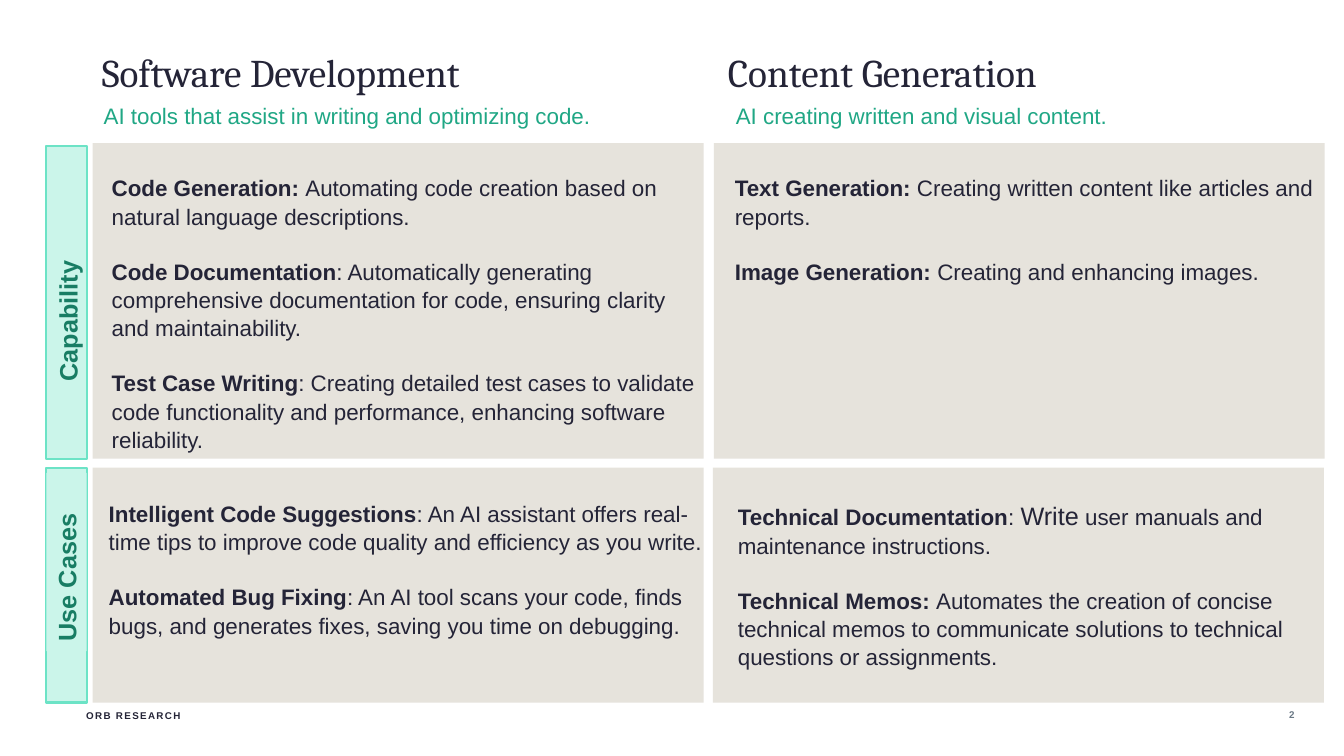
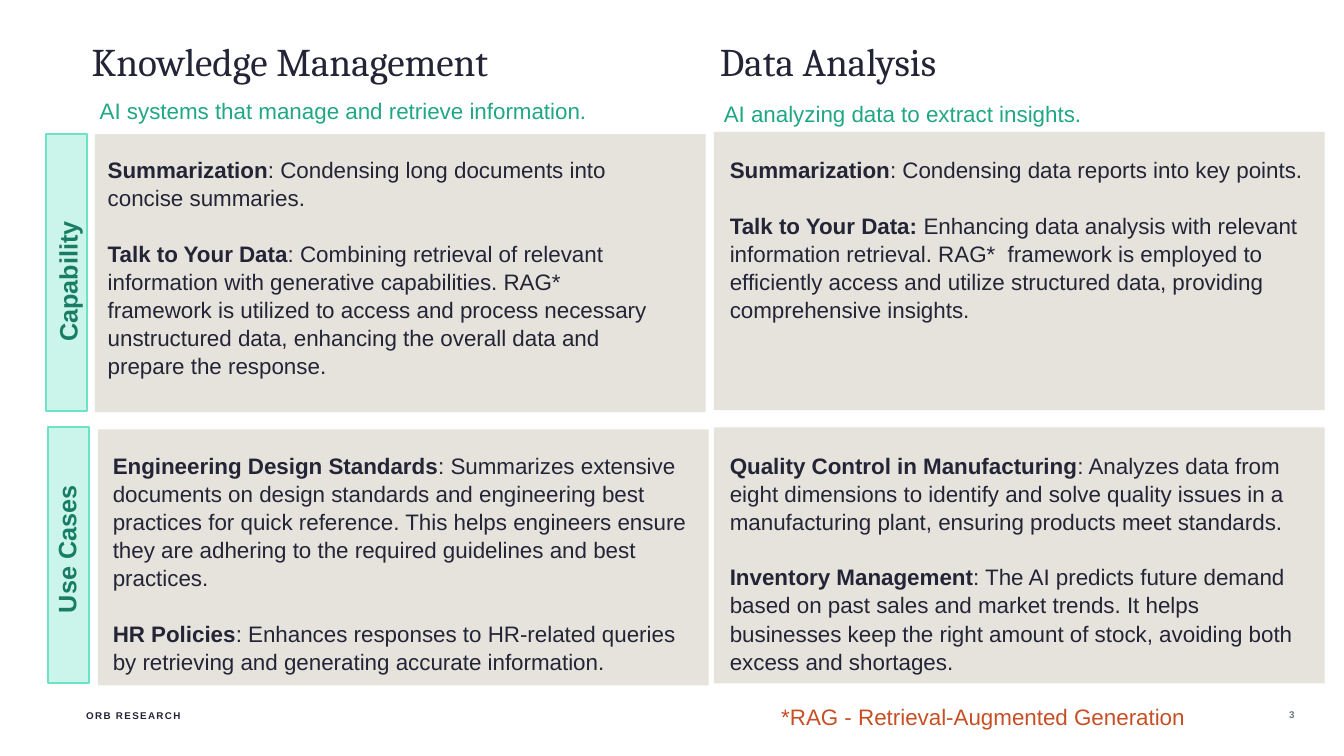
from pptx import Presentation
from pptx.dml.color import RGBColor
from pptx.enum.shapes import MSO_SHAPE
from pptx.enum.text import MSO_ANCHOR, PP_ALIGN
from pptx.oxml.ns import qn
from pptx.util import Inches, Pt

COLORS = {
    "ink": "242437", "panel": "E6E3DC", "mint": "CBF5EA", "mint_line": "6CE3C6",
    "label": "187D64", "subtitle": "20A785", "note": "C74F26", "page": "6A7885",
}
BODY_FONT, TITLE_FONT = "Arial", "Cambria"
PANEL_W, TAB_W = 6.06, 0.4
LINE_SPACING = 1.05
BODY_GAP = 19.3

# Boxes are (left, top, width, height). Each panel's "text" is
# (left offset, top offset, width, height) from the panel corner.
SLIDES = [
    {
        "columns": [
            {"title": "Software Development", "title_box": (1.01, 0.48, 5.36, 0.57),
             "subtitle": "AI tools that assist in writing and optimizing code.",
             "subtitle_box": (0.93, 0.96, 6.15, 0.37)},
            {"title": "Content Generation", "title_box": (7.22, 0.48, 5.28, 0.57),
             "subtitle": "AI creating written and visual content.",
             "subtitle_box": (7.2, 0.96, 5.01, 0.37)},
        ],
        "rows": [
            {"label": "Capability", "tab": (0.46, 1.45, 3.1), "label_at": (0.47, 2.26, 1.62),
             "height": 3.13,
             "panels": [
                 {"at": (0.92, 1.42), "text": (0.09, 0.25, 6, 2.79), "items": [
                     ("Code Generation: ",
                      "Automating code creation based on natural language descriptions."),
                     ("Code Documentation",
                      ": Automatically generating comprehensive documentation for code, "
                      "ensuring clarity and maintainability."),
                     ("Test Case Writing",
                      ": Creating detailed test cases to validate code functionality and "
                      "performance, enhancing software reliability.")]},
                 {"at": (7.08, 1.42), "text": (0.11, 0.25, 6, 1.18), "items": [
                     ("Text Generation: ", "Creating written content like articles and reports."),
                     ("Image Generation: ", "Creating and enhancing images.")]},
             ]},
            {"label": "Use Cases", "tab": (0.46, 4.64, 2.33), "label_at": (0.46, 4.69, 1.77),
             "label_fill": "mint", "height": 2.33,
             "panels": [
                 {"at": (0.92, 4.64), "text": (0.06, 0.26, 6.09, 1.72), "items": [
                     ("Intelligent Code Suggestions",
                      ": An AI assistant offers real-time tips to improve code quality and "
                      "efficiency as you write."),
                     ("Automated Bug Fixing",
                      ": An AI tool scans your code, finds bugs, and generates fixes, saving "
                      "you time on debugging.")]},
                 {"at": (7.07, 4.64), "text": (0.15, 0.26, 6.06, 1.75), "items": [
                     ("Technical Documentation", ": ", ("Write", {"size": 18}),
                      " user manuals and maintenance instructions."),
                     ("Technical Memos: ",
                      "Automates the creation of concise technical memos to communicate "
                      "solutions to technical questions or assignments.")]},
             ]},
        ],
    },
    {
        "columns": [
            {"title": "Knowledge Management", "title_box": (0.91, 0.37, 6.06, 0.57),
             "subtitle": "AI systems that manage and retrieve information.",
             "subtitle_box": (0.89, 0.91, 6.15, 0.37)},
            {"title": "Data Analysis", "title_box": (7.14, 0.37, 5.28, 0.57),
             "subtitle": "AI analyzing data to extract insights.",
             "subtitle_box": (7.08, 0.94, 5.01, 0.37)},
        ],
        "rows": [
            {"label": "Capability", "tab": (0.46, 1.33, 2.75), "label_at": (0.47, 1.87, 1.62),
             "height": 2.76,
             "panels": [
                 {"at": (0.94, 1.33), "text": (0.03, 0.16, 5.73, 2.26), "items": [
                     ("Summarization", ": Condensing long documents into concise summaries."),
                     ("Talk to Your Data",
                      ": Combining retrieval of relevant information with generative "
                      "capabilities. RAG* framework is utilized to access and process "
                      "necessary unstructured data, enhancing the overall data and prepare "
                      "the response.")]},
                 {"at": (7.08, 1.31), "text": (0.06, 0.18, 6, 1.72), "items": [
                     ("Summarization", ": Condensing data reports into key points."),
                     ("Talk to Your Data: ",
                      "Enhancing data analysis with relevant information retrieval. RAG*  "
                      "framework is employed to efficiently access and utilize structured "
                      "data, providing comprehensive insights.")]},
             ]},
            {"label": "Use Cases", "tab": (0.48, 4.24, 2.54), "label_at": (0.46, 4.41, 1.77),
             "height": 2.54,
             "panels": [
                 {"at": (0.97, 4.26), "text": (0.05, 0.16, 5.92, 2.26), "items": [
                     ("Engineering Design Standards",
                      ": Summarizes extensive documents on design standards and engineering "
                      "best practices for quick reference. This helps engineers ensure they "
                      "are adhering to the required guidelines and best practices."),
                     ("HR Policies",
                      ": Enhances responses to HR-related queries by retrieving and "
                      "generating accurate information.")]},
                 {"at": (7.08, 4.24), "text": (0.06, 0.18, 5.86, 2.26), "items": [
                     ("Quality Control in Manufacturing",
                      ": Analyzes data from eight dimensions to identify and solve quality "
                      "issues in a manufacturing plant, ensuring products meet standards."),
                     ("Inventory Management",
                      ": The AI predicts future demand based on past sales and market trends. "
                      "It helps businesses keep the right amount of stock, avoiding both "
                      "excess and shortages.")]},
             ]},
        ],
        "note": "*RAG - Retrieval-Augmented Generation",
    },
]


def rgb(name):
    return RGBColor.from_string(COLORS[name])


def add_rect(slide, box, fill, line=None):
    sp = slide.shapes.add_shape(MSO_SHAPE.RECTANGLE, *map(Inches, box))
    sp.shadow.inherit = False
    sp.fill.solid()
    sp.fill.fore_color.rgb = rgb(fill)
    if line:
        sp.line.color.rgb = rgb(line)
        sp.line.width = Pt(1.5)
    else:
        sp.line.fill.background()
    return sp


def add_text(slide, box, paragraphs, *, size=16, font=BODY_FONT, color="ink", bold=False,
             lead_bold=False, align=PP_ALIGN.LEFT, anchor=MSO_ANCHOR.TOP, inset=True,
             gap=0, spacing=1.0, tracking=None):
    """Each paragraph is a string or a tuple of runs; a run is text or (text, {"size": n})."""
    sp = slide.shapes.add_textbox(*map(Inches, box))
    tf = sp.text_frame
    tf.word_wrap = True
    tf.vertical_anchor = anchor
    if not inset:
        tf.margin_left = tf.margin_right = tf.margin_top = tf.margin_bottom = 0
    if isinstance(paragraphs, str):
        paragraphs = [paragraphs]
    for i, runs in enumerate(paragraphs):
        p = tf.add_paragraph() if i else tf.paragraphs[0]
        p.alignment = align
        p.line_spacing = spacing
        p.space_before = Pt(gap if i else 0)
        for j, run in enumerate((runs,) if isinstance(runs, str) else runs):
            text, extra = (run, {}) if isinstance(run, str) else run
            r = p.add_run()
            r.text = text
            r.font.name = font
            r.font.size = Pt(extra.get("size", size))
            r.font.bold = bold or (lead_bold and j == 0)
            r.font.color.rgb = rgb(color)
            if tracking:
                r.font._element.set("spc", str(tracking * 100))
    return sp


def add_heading(slide, column):
    add_text(slide, column["title_box"], column["title"], size=28, font=TITLE_FONT, inset=False)
    add_text(slide, column["subtitle_box"], column["subtitle"], color="subtitle")


def add_panel(slide, panel, height):
    left, top = panel["at"]
    dx, dy, w, h = panel["text"]
    add_rect(slide, (left, top, PANEL_W, height), "panel")
    add_text(slide, (left + dx, top + dy, w, h), panel["items"], lead_bold=True,
             gap=BODY_GAP, spacing=LINE_SPACING)


def add_side_tab(slide, row):
    """Draw the upright tab; its label reads upwards."""
    left, top, height = row["tab"]
    add_rect(slide, (left, top, TAB_W, height), "mint", "mint_line")
    x, y, length = row["label_at"]
    shift = (length - TAB_W) / 2
    label = add_text(slide, (x - shift, y + shift, length, TAB_W), row["label"],
                     size=18, color="label", bold=True)
    label.rotation = 270
    if "label_fill" in row:
        label.fill.solid()
        label.fill.fore_color.rgb = rgb(row["label_fill"])


def add_footer(slide, number):
    style = dict(size=7, bold=True, align=PP_ALIGN.RIGHT, anchor=MSO_ANCHOR.MIDDLE,
                 inset=False, tracking=1)
    add_text(slide, (0.75, 7.04, 1.04, 0.12), "ORB RESEARCH", **style)
    page = add_text(slide, (12.43, 7.03, 0.41, 0.12), str(number), color="page", **style)
    field = page.text_frame.paragraphs[0].runs[0]._r
    field.tag = qn("a:fld")
    field.set("id", "{5B0F1C52-3A7E-4D0B-9C61-2E8D4A6F7B10}")
    field.set("type", "slidenum")


def build_slide(prs, content, number):
    slide = prs.slides.add_slide(prs.slide_layouts[6])
    add_footer(slide, number)
    for column in content["columns"]:
        add_heading(slide, column)
    for row in content["rows"]:
        add_side_tab(slide, row)
        for panel in row["panels"]:
            add_panel(slide, panel, row["height"])
    if "note" in content:
        add_text(slide, (7.65, 6.93, 4.99, 0.37), content["note"], color="note")


def main():
    prs = Presentation()
    prs.slide_width, prs.slide_height = Inches(13.33), Inches(7.5)
    first = prs.slides._sldIdLst.getparent()
    first.set("firstSlideNum", "2")
    for number, content in enumerate(SLIDES, start=2):
        build_slide(prs, content, number)
    prs.save("out.pptx")


if __name__ == "__main__":
    main()
